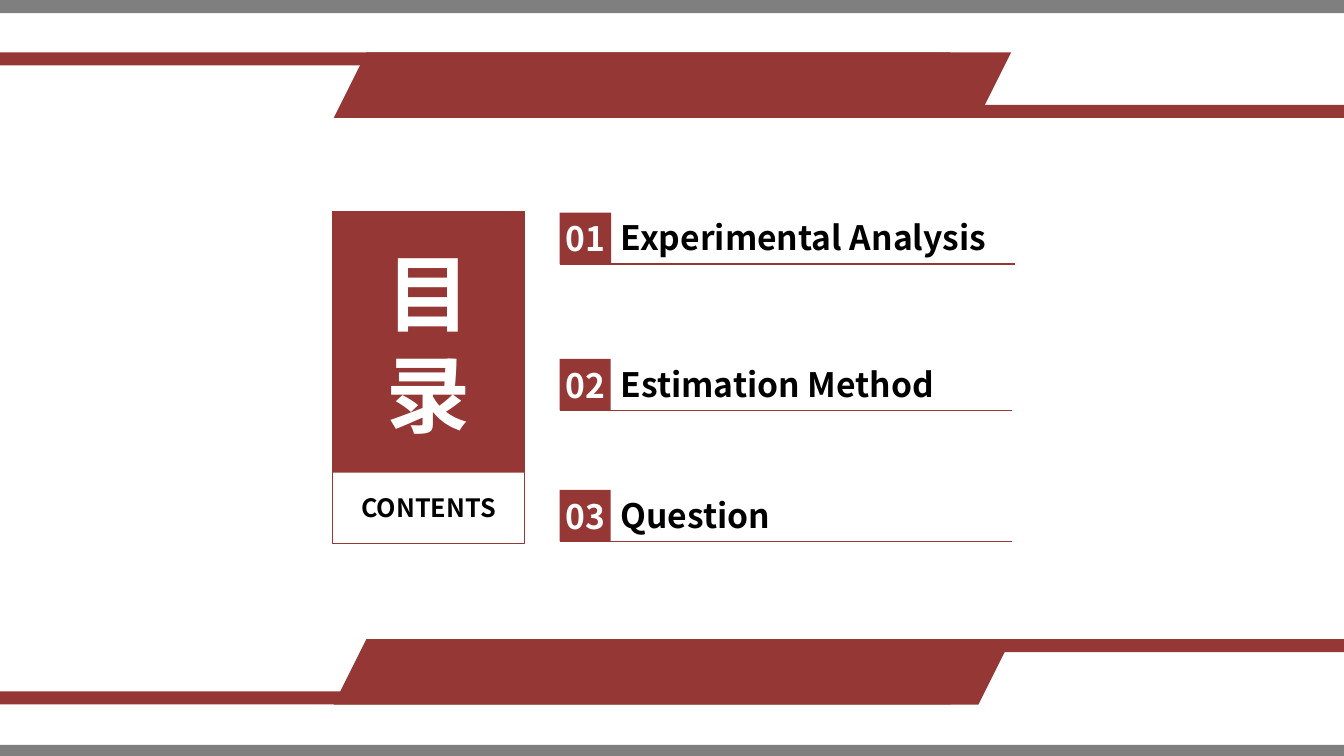
import pptx
import pptx.util
import pptx.dml.color
import pptx.enum.shapes
import pptx.enum.text
import pptx.oxml.ns
import lxml.etree

RED = pptx.dml.color.RGBColor(0x95, 0x37, 0x34)
GRAY = pptx.dml.color.RGBColor(0x7F, 0x7F, 0x7F)
WHITE = pptx.dml.color.RGBColor(0xFF, 0xFF, 0xFF)
BLACK = pptx.dml.color.RGBColor(0, 0, 0)
FACE = "Noto Sans CJK SC"
KIND = pptx.enum.shapes.MSO_SHAPE
ALIGN = pptx.enum.text.PP_ALIGN
WIDE = pptx.util.Inches(13.33)
HIGH = pptx.util.Inches(7.5)
PAGE = (0, 0, WIDE, HIGH)
ITEMS = [
    ("Experimental Analysis", 28.13, 33.91),
    ("Estimation Method", 47.47, 33.68),
    ("Question", 64.8, 33.68),
]


def part(box, left, top, width, height):
    x, y, w, h = box
    return (round(x + w * left / 100), round(y + h * top / 100),
            round(w * width / 100), round(h * height / 100))


def style(item, values):
    for name, value in values.items():
        setattr(item, name, value)


def block(slide, box, fill=None, edge=None, kind=KIND.RECTANGLE):
    shape = slide.shapes.add_shape(kind, *box)
    shape.shadow.inherit = False
    if fill is None:
        shape.fill.background()
    else:
        shape.fill.solid()
        shape.fill.fore_color.rgb = fill
    if edge is None:
        shape.line.fill.background()
    else:
        shape.line.color.rgb = edge
        shape.line.width = pptx.util.Pt(1)
    return shape


def write(shape, text, size, color, align=ALIGN.CENTER, inset=0):
    frame = shape.text_frame
    pad = pptx.util.Inches(inset)
    style(frame, {
        "word_wrap": True,
        "auto_size": pptx.enum.text.MSO_AUTO_SIZE.NONE,
        "vertical_anchor": pptx.enum.text.MSO_ANCHOR.MIDDLE,
        "margin_left": pad, "margin_right": pad,
        "margin_top": 0, "margin_bottom": 0,
    })
    line = frame.paragraphs[0]
    line.alignment = align
    run = line.add_run()
    run.text = text
    style(run.font, {"name": FACE, "size": pptx.util.Pt(size), "bold": True})
    run.font.color.rgb = color
    east = lxml.etree.SubElement(run._r.get_or_add_rPr(), pptx.oxml.ns.qn("a:ea"))
    east.set("typeface", FACE)


def rule(slide, box):
    x, y, w, h = box
    line = slide.shapes.add_connector(
        pptx.enum.shapes.MSO_CONNECTOR.STRAIGHT, x, y + h, x + w, y + h)
    line.line.color.rgb = RED
    line.line.width = pptx.util.Pt(1)
    lxml.etree.SubElement(line._element.spPr, pptx.oxml.ns.qn("a:effectLst"))


def band(slide, box, left, right, start):
    block(slide, part(box, 0, left, 70.74, 20), RED)
    block(slide, part(box, start, right, 100 - start, 20), RED)
    slant = block(slide, part(box, 24.83, 0, 50.41, 100), RED, kind=KIND.PARALLELOGRAM)
    slant.adjustments[0] = 0.5


def panel(slide, box):
    block(slide, box, edge=RED)
    title = slide.shapes.title
    style(title, dict(zip(("left", "top", "width", "height"), part(box, 0, 0, 100, 78.72))))
    title.fill.solid()
    title.fill.fore_color.rgb = RED
    write(title, "目录", 60, WHITE, inset=0.29)
    label = slide.shapes.add_textbox(*part(box, 0, 82.98, 100, 12.16))
    write(label, "CONTENTS", 18, BLACK)


def entry(slide, box, mark, text):
    rule(slide, box)
    write(block(slide, part(box, 0, 0, 11.28, 100), RED), mark, 24, WHITE)
    label = slide.shapes.add_textbox(*part(box, 11.28, -2, 88.72, 100))
    write(label, text, 24, BLACK, ALIGN.LEFT, 0.1)


def contents(slide, box):
    panel(slide, part(box, 24.76, 28, 14.25, 43.87))
    for count, (text, top, width) in enumerate(ITEMS, 1):
        entry(slide, part(box, 41.64, top, width, 6.8), f"{count:02}", text)
    for top, height in ((0, 1.73), (98.53, 1.47)):
        block(slide, part(box, 0, top, 100, height), GRAY)
    band(slide, part(box, 0, 6.93, 100, 8.67), 0, 80, 29.26)
    band(slide, part(box, 0, 84.53, 100, 8.67), 80, 0, 34.5)


deck = pptx.Presentation()
style(deck, {"slide_width": WIDE, "slide_height": HIGH})
contents(deck.slides.add_slide(deck.slide_layouts[5]), PAGE)
deck.save("out.pptx")
